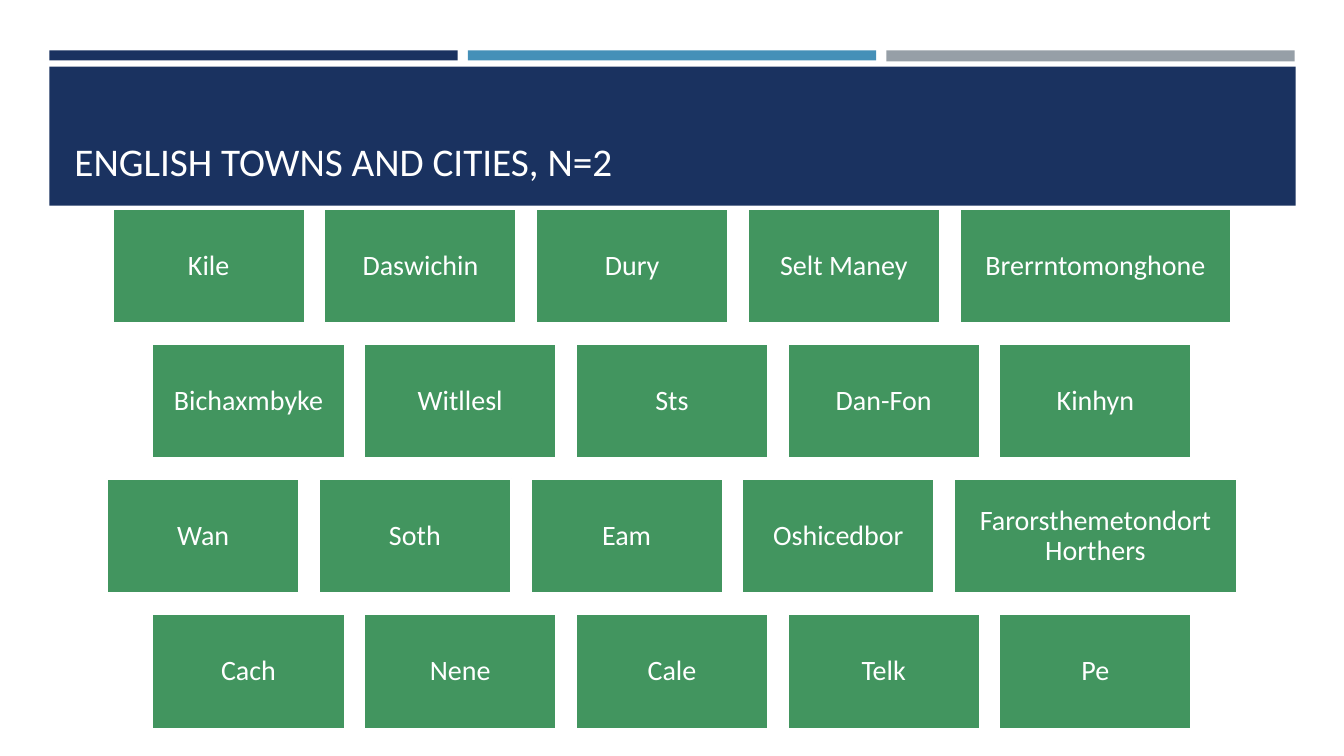
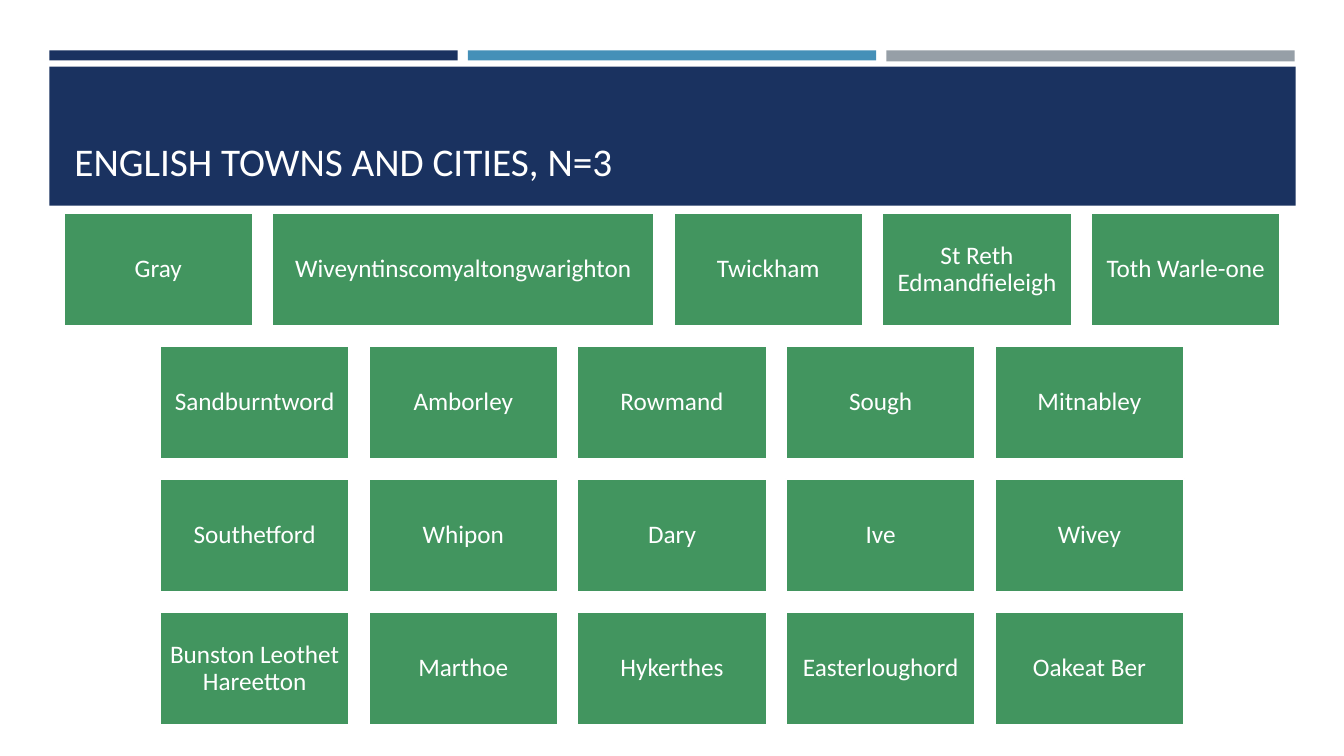
"""Build two slides of town-name tiles under a shared banner."""
from dataclasses import dataclass

from pptx import Presentation
from pptx.dml.color import RGBColor
from pptx.enum.shapes import MSO_SHAPE as Shape
from pptx.enum.text import MSO_ANCHOR as Anchor, PP_ALIGN as Align
from pptx.shapes.autoshape import Shape as AutoShape
from pptx.slide import Slide
from pptx.text.text import TextFrame
from pptx.util import Inches, Pt

SLIDE_W, SLIDE_H = 13.33, 7.5
NAVY, BLUE, GRAY, GREEN, WHITE = "1A3260", "4590B8", "969FA7", "42955F", "FFFFFF"
FONT = "Calibri"
TITLE_SIZE = 28
TILE_GAP = 0.19


@dataclass(frozen=True)
class Box:
    left: float
    top: float
    width: float
    height: float
    fill: str = NAVY


@dataclass(frozen=True)
class TileGrid:
    title: str
    rows: list[list[str]]
    wide: dict[str, float]
    top: float
    pitch: float
    width: float
    height: float
    inset: float
    size: int


BANNER = [
    Box(0.49, 0.5, 4.05, 0.1),
    Box(4.64, 0.5, 4.05, 0.1, BLUE),
    Box(8.79, 0.5, 4.05, 0.11, GRAY),
    Box(0.49, 0.66, 12.36, 1.38),
]

GRIDS = [
    TileGrid(
        title="ENGLISH TOWNS AND CITIES, N=2",
        rows=[
            ["Kile", "Daswichin", "Dury", "Selt Maney", "Brerrntomonghone"],
            ["Bichaxmbyke", "Witllesl", "Sts", "Dan-Fon", "Kinhyn"],
            ["Wan", "Soth", "Eam", "Oshicedbor", "Farorsthemetondort Horthers"],
            ["Cach", "Nene", "Cale", "Telk", "Pe"],
        ],
        wide={"Brerrntomonghone": 2.7, "Farorsthemetondort Horthers": 2.81},
        top=2.07, pitch=1.34, width=1.91, height=1.14, inset=0.08, size=20,
    ),
    TileGrid(
        title="ENGLISH TOWNS AND CITIES, N=3",
        rows=[
            ["Gray", "Wiveyntinscomyaltongwarighton", "Twickham",
             "St Reth Edmandfieleigh", "Toth Warle-one"],
            ["Sandburntword", "Amborley", "Rowmand", "Sough", "Mitnabley"],
            ["Southetford", "Whipon", "Dary", "Ive", "Wivey"],
            ["Bunston Leothet Hareetton", "Marthoe", "Hykerthes",
             "Easterloughord", "Oakeat Ber"],
        ],
        wide={"Wiveyntinscomyaltongwarighton": 3.79},
        top=2.11, pitch=1.32, width=1.88, height=1.13, inset=0.07, size=18,
    ),
]


def rgb(value: str) -> RGBColor:
    return RGBColor.from_string(value)


def add_box(s: Slide, box: Box) -> AutoShape:
    sp = s.shapes.add_shape(Shape.RECTANGLE, Inches(box.left), Inches(box.top),
                            Inches(box.width), Inches(box.height))
    sp.shadow.inherit = False
    sp.fill.solid()
    sp.fill.fore_color.rgb = rgb(box.fill)
    sp.line.fill.background()
    return sp


def write(tf: TextFrame, text: str, size: int, align: Align, anchor: Anchor) -> None:
    tf.word_wrap = True
    tf.vertical_anchor = anchor
    p = tf.paragraphs[0]
    p.alignment = align
    r = p.add_run()
    r.text = text
    r.font.name = FONT
    r.font.size = Pt(size)
    r.font.color.rgb = rgb(WHITE)


def add_banner(s: Slide, title: str) -> None:
    for box in BANNER:
        add_box(s, box)
    sp = s.shapes.add_textbox(Inches(0.64), Inches(0.8), Inches(12.06), Inches(1.08))
    write(sp.text_frame, title, TITLE_SIZE, Align.LEFT, Anchor.BOTTOM)


def add_tile(s: Slide, box: Box, name: str, grid: TileGrid) -> None:
    sp = add_box(s, box)
    sp.line.color.rgb = rgb(WHITE)
    sp.line.width = Pt(1.75)
    tf = sp.text_frame
    tf.margin_left = tf.margin_right = Inches(grid.inset)
    tf.margin_top = tf.margin_bottom = Inches(grid.inset)
    write(tf, name, grid.size, Align.CENTER, Anchor.MIDDLE)
    tf.paragraphs[0].line_spacing = 0.9


def add_tiles(s: Slide, grid: TileGrid) -> None:
    for i, names in enumerate(grid.rows):
        widths = [grid.wide.get(name, grid.width) for name in names]
        left = (SLIDE_W - sum(widths) - TILE_GAP * (len(names) - 1)) / 2
        for name, width in zip(names, widths):
            box = Box(left, grid.top + i * grid.pitch, width, grid.height, GREEN)
            add_tile(s, box, name, grid)
            left += width + TILE_GAP


def main() -> None:
    prs = Presentation()
    prs.slide_width, prs.slide_height = Inches(SLIDE_W), Inches(SLIDE_H)
    for grid in GRIDS:
        s = prs.slides.add_slide(prs.slide_layouts[6])
        add_banner(s, grid.title)
        add_tiles(s, grid)
    prs.save("out.pptx")


if __name__ == "__main__":
    main()
